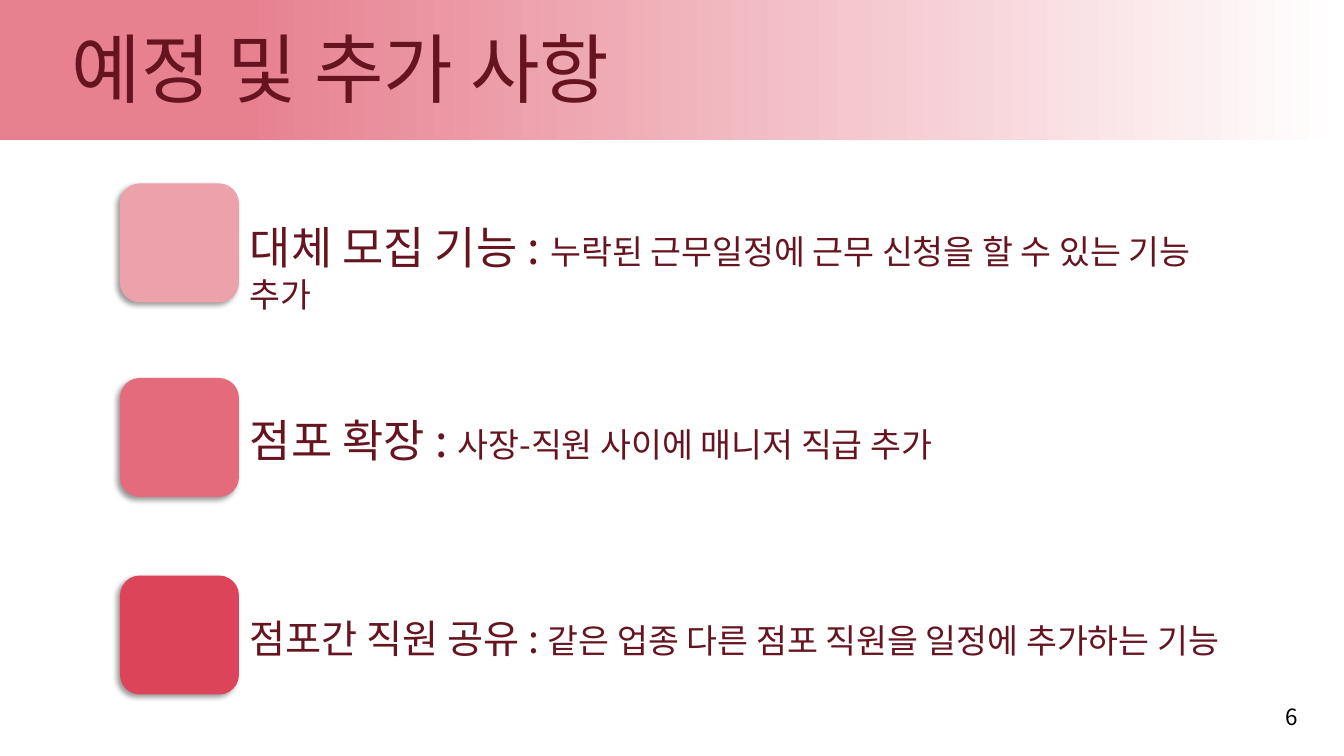
"""Build the slide on planned and additional features."""
from lxml import etree
from pptx import Presentation
from pptx.dml.color import RGBColor
from pptx.enum.shapes import MSO_SHAPE as Shape
from pptx.enum.text import MSO_ANCHOR as Anchor, PP_ALIGN as Align
from pptx.oxml import parse_xml
from pptx.oxml.ns import nsdecls, qn
from pptx.util import Inches, Pt

FONT = "Noto Sans CJK KR"
WINE = RGBColor(0x66, 0x14, 0x20)
ROSE = RGBColor(0xE7, 0x81, 0x90)
WHITE = RGBColor(0xFF, 0xFF, 0xFF)
BLACK = RGBColor(0x00, 0x00, 0x00)
PALE_PINK = RGBColor(0xED, 0xA1, 0xAB)
PINK = RGBColor(0xE3, 0x6B, 0x7C)
RED = RGBColor(0xDC, 0x44, 0x5A)
SHADOW = f"""<a:effectLst {nsdecls("a")}>
<a:outerShdw blurRad="{Pt(4)}" dist="{Pt(3)}" dir="8100000" algn="tr" rotWithShape="0">
<a:srgbClr val="000000"><a:alpha val="40000"/></a:srgbClr>
</a:outerShdw></a:effectLst>"""


def style(para, size, color):
    para.font.size = Pt(size)
    para.font.name = FONT
    para.font.color.rgb = color
    props = para._p.pPr.find(qn("a:defRPr"))
    east_asian = etree.Element(qn("a:ea"), typeface=FONT)
    props.find(qn("a:latin")).addnext(east_asian)


def add_text(page, left, top, width, height):
    box = page.shapes.add_textbox(Inches(left), Inches(top), Inches(width), Inches(height))
    box.text_frame.word_wrap = True
    return box.text_frame


deck = Presentation()
deck.slide_width, deck.slide_height = Inches(13.33), Inches(7.5)
page = deck.slides.add_slide(deck.slide_layouts[5])

title = page.shapes.title
title.left, title.top = Inches(0.61), Inches(0.17)
title.width, title.height = Inches(9.05), Inches(1.01)
title.text_frame.text = "예정 및 추가 사항"
title.text_frame.vertical_anchor = Anchor.TOP
title_para = title.text_frame.paragraphs[0]
title_para.alignment = Align.LEFT
style(title_para, 54, WINE)

band = page.shapes.add_shape(Shape.RECTANGLE, 0, 0, deck.slide_width, Inches(1.39))
band.shadow.inherit = False
band.line.fill.background()
band.fill.gradient()
band.fill.gradient_angle = 0
for stop, position, color in zip(band.fill.gradient_stops, (0.18, 1), (ROSE, WHITE)):
    stop.position = position
    stop.color.rgb = color
title.element.addprevious(band.element)

number = add_text(page, 9.97, 6.91, 3, 0.4)
number.text = "6"
number.vertical_anchor = Anchor.MIDDLE
number.paragraphs[0].alignment = Align.RIGHT
style(number.paragraphs[0], 16, BLACK)

features = [
    (1.82, PALE_PINK, 2.13, 10.16, 0.64, 32,
     "대체 모집 기능 : ", "누락된 근무일정에 근무 신청을 할 수 있는 기능 추가"),
    (3.75, PINK, 4.05, 9.34, 0.64, 32,
     "점포 확장 : ", "사장-직원 사이에 매니저 직급 추가"),
    (5.71, RED, 6.05, 10.31, 0.57, 28,
     "점포간 직원 공유 : ", "같은 업종 다른 점포 직원을 일정에 추가하는 기능"),
]
for tile_top, color, text_top, width, height, size, name, detail in features:
    tile = page.shapes.add_shape(
        Shape.ROUNDED_RECTANGLE, Inches(1.19), Inches(tile_top), Inches(1.18), Inches(1.18))
    tile.fill.solid()
    tile.fill.fore_color.rgb = color
    tile.line.fill.background()
    tile.element.spPr.append(parse_xml(SHADOW))

    para = add_text(page, 2.38, text_top, width, height).paragraphs[0]
    style(para, 24, WINE)
    heading = para.add_run()
    heading.text = name
    heading.font.size = Pt(size)
    para.add_run().text = detail

deck.save("out.pptx")
